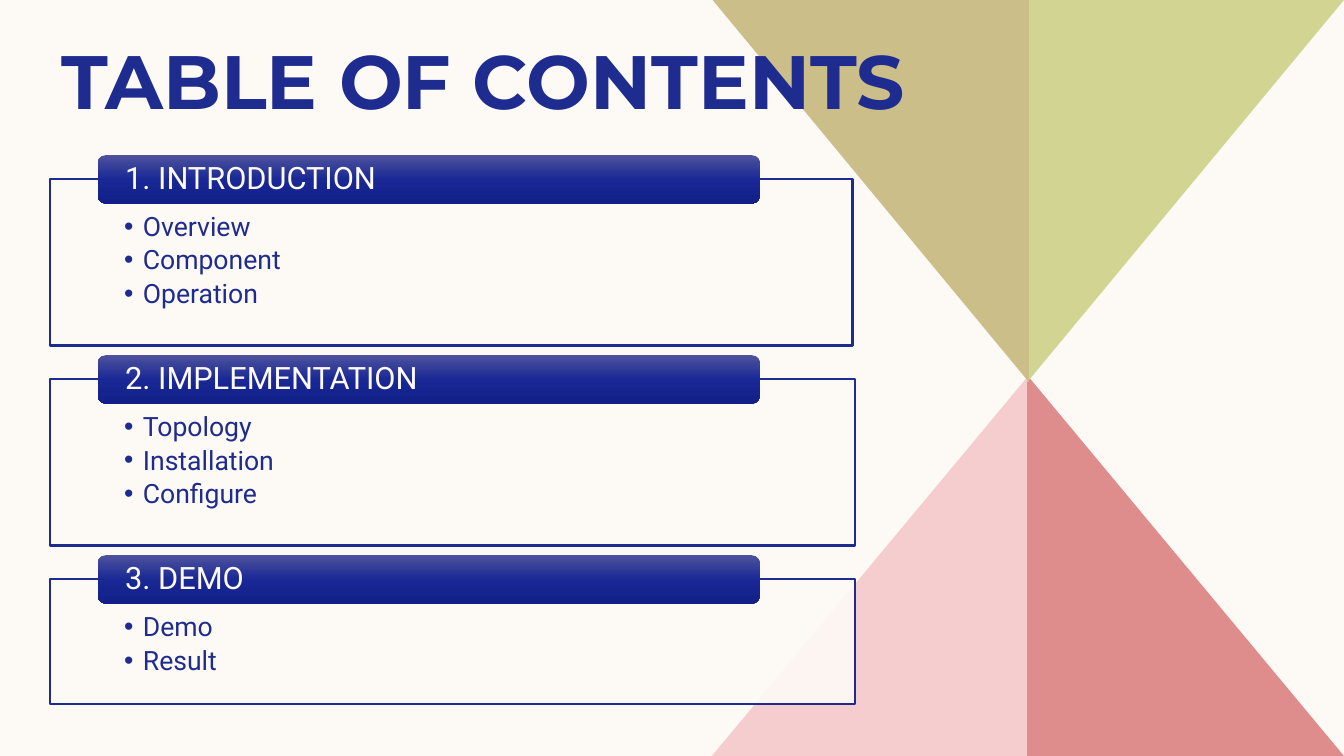
from dataclasses import dataclass

from lxml import etree
from pptx import Presentation
from pptx.dml.color import RGBColor
from pptx.enum import shapes as kinds, text as txt
from pptx.oxml.ns import qn
from pptx.util import Pt


@dataclass(frozen=True)
class Theme:
    navy: str = "1F2C8F"
    cream: str = "FDFAF6"
    pink: str = "F5CDCE"
    rose: str = "DE8C8C"
    lime: str = "D2D592"
    sand: str = "CCBE89"
    shades: tuple = ("4F539D", "192895", "121F89")
    head: str = "Montserrat"
    body: str = "Roboto"
    big: int = 54
    mid: int = 22
    small: int = 19


T = Theme()
WIDE, HIGH = 960, 540


def style(par, name, size, color, bold=False):
    """Format a paragraph and its runs."""
    par.alignment = txt.PP_ALIGN.LEFT
    par.space_before = Pt(0)
    for run in par.runs:
        font = run.font
        font.name, font.size, font.bold = name, Pt(size), bold
        font.color.rgb = RGBColor.from_string(color)


def frame(shape, left, top, anchor):
    """Set the text insets and anchor of a shape and return its text frame."""
    box = shape.text_frame
    box.word_wrap = True
    box.auto_size = txt.MSO_AUTO_SIZE.NONE
    box.vertical_anchor = anchor
    box.margin_left = box.margin_right = Pt(left)
    box.margin_top = box.margin_bottom = Pt(top)
    return box


deck = Presentation()
deck.slide_width, deck.slide_height = Pt(WIDE), Pt(HIGH)
slide = deck.slides.add_slide(deck.slide_layouts.get_by_name("Comparison"))
slide.background.fill.solid()
slide.background.fill.fore_color.rgb = RGBColor.from_string(T.cream)
title, *lists, spare = slide.placeholders
spare.element.getparent().remove(spare.element)

# Four triangles meeting near the middle, behind all text
wings = [
    (735, 268, 508.5, HIGH, T.pink),
    (733.7, 268, WIDE, HIGH, T.rose),
    (733.7, 273, WIDE, 0, T.lime),
    (735, 273, 509, 0, T.sand),
]
for x, tip, side, base, color in wings:
    path = slide.shapes.build_freeform(Pt(x), Pt(tip))
    path.add_line_segments([(Pt(side), Pt(base)), (Pt(x), Pt(base))])
    wing = path.convert_to_shape()
    wing.shadow.inherit = False
    wing.fill.solid()
    wing.fill.fore_color.rgb = RGBColor.from_string(color)
    wing.line.fill.background()
    title.element.addprevious(wing.element)

title.left, title.top, title.width, title.height = Pt(36.7), Pt(20.5), Pt(703.4), Pt(60.5)
title.text_frame.text = "TABLE OF CONTENTS"
box = frame(title, 7.2, 3.6, txt.MSO_ANCHOR.TOP)
style(box.paragraphs[0], T.head, T.big, T.navy, True)

parts = [
    ("1. INTRODUCTION", ["Overview", "Component", "Operation"], 573, 118.8),
    ("2. IMPLEMENTATION", ["Topology", "Installation", "Configure"], 574.6, 118.8),
    ("3. DEMO", ["Demo", "Result"], 574.6, 89.3),
]
for i, (panel, (name, items, width, height)) in enumerate(zip(lists, parts)):
    top = 128 + 142.9 * i
    panel.left, panel.top, panel.width, panel.height = Pt(36), Pt(top), Pt(width), Pt(height)
    panel.fill.solid()
    panel.fill.fore_color.rgb = RGBColor.from_string(T.cream)
    tint = panel.element.spPr.find(qn("a:solidFill")).find(qn("a:srgbClr"))
    etree.SubElement(tint, qn("a:alpha"), val="90000")
    panel.line.color.rgb = RGBColor.from_string(T.navy)
    panel.line.width = Pt(1.5)
    box = frame(panel, 52.6, 24.5, txt.MSO_ANCHOR.TOP)
    box.margin_bottom = Pt(10.8)
    box.text = "\n".join(items)
    for par in box.paragraphs:
        style(par, T.body, T.small, T.navy)
        par.level = 1
        par.line_spacing = 0.9
        par.space_after = Pt(3.4)
        props = par._p.get_or_add_pPr()
        props.set("marL", str(Pt(13.5)))
        props.set("indent", str(Pt(-13.5)))
        etree.SubElement(props, qn("a:buChar"), char="•")

    bar = slide.shapes.add_shape(
        kinds.MSO_SHAPE.ROUNDED_RECTANGLE, Pt(69.8), Pt(top - 17.2), Pt(473), Pt(34.6))
    bar.shadow.inherit = False
    bar.line.fill.background()
    bar.fill.gradient()
    bar.fill.gradient_angle = 270
    stops = bar.element.spPr.find(qn("a:gradFill")).find(qn("a:gsLst"))
    stops.clear()
    for n, shade in enumerate(T.shades):
        stop = etree.SubElement(stops, qn("a:gs"), pos=str(50000 * n))
        etree.SubElement(stop, qn("a:srgbClr"), val=shade)
    box = frame(bar, 18, 0, txt.MSO_ANCHOR.MIDDLE)
    box.text = name
    style(box.paragraphs[0], T.body, T.mid, T.cream)
    box.paragraphs[0].line_spacing = 0.9

deck.save("out.pptx")
